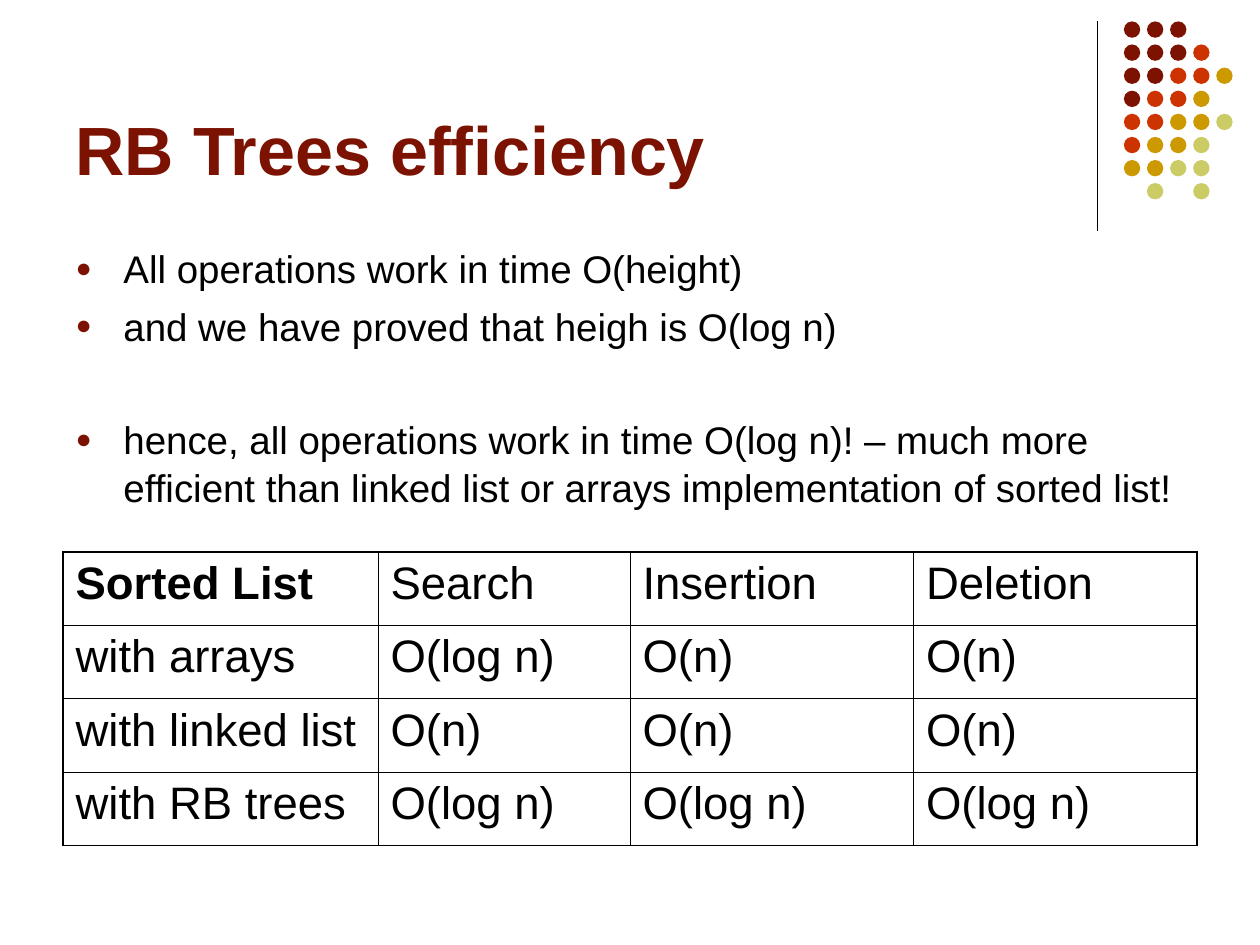
from lxml.etree import SubElement
from pptx import Presentation
from pptx.dml.color import RGBColor
from pptx.enum.shapes import MSO_CONNECTOR, MSO_SHAPE
from pptx.enum.text import MSO_ANCHOR, MSO_AUTO_SIZE, PP_ALIGN
from pptx.oxml import parse_xml
from pptx.oxml.ns import nsdecls, qn
from pptx.util import Inches, Pt

MAROON = RGBColor(0x7C, 0x13, 0x02)
RED = RGBColor(0xCC, 0x33, 0x00)
GOLD = RGBColor(0xCC, 0x99, 0x00)
OLIVE = RGBColor(0xCC, 0xCC, 0x66)
BLACK = RGBColor(0, 0, 0)
FONT = "Arial"


def add_text(paragraph, text, size, color, bold=False):
    run = paragraph.add_run()
    run.text = text
    run.font.name = FONT
    run.font.size = Pt(size)
    run.font.bold = bold
    run.font.color.rgb = color


def set_border(cell, side, width):
    cell._tc.get_or_add_tcPr().append(parse_xml(
        f'<a:{side} {nsdecls("a")} w="{Pt(width)}"><a:solidFill>'
        f'<a:srgbClr val="{BLACK}"/></a:solidFill></a:{side}>'))


presentation = Presentation()
presentation.slide_width = Inches(10)
presentation.slide_height = Inches(7.5)
slide = presentation.slides.add_slide(presentation.slide_layouts[1])
margin = presentation.slide_width // 20
content_width = presentation.slide_width - 2 * margin

# Corner ornament: a rule and a grid of dots, one letter per dot colour
rule = slide.shapes.add_connector(
    MSO_CONNECTOR.STRAIGHT, Inches(8.71), Inches(0.17), Inches(8.71), Inches(1.83))
rule.line.color.rgb = BLACK
rule.line.width = Pt(0.75)
SubElement(rule._element.spPr, qn("a:effectLst"))

dot_colors = {"M": MAROON, "R": RED, "G": GOLD, "O": OLIVE}
dot_rows = ["MMM", "MMMR", "MMRRG", "MRRG", "RRGGO", "RGGO", "GGOO", " O O"]
dot_pitch = Inches(0.55) // 3
dot_size = Inches(0.13)
for row, letters in enumerate(dot_rows):
    for column, letter in enumerate(letters):
        if letter == " ":
            continue
        dot = slide.shapes.add_shape(
            MSO_SHAPE.OVAL, Inches(8.92) + column * dot_pitch,
            Inches(0.17) + row * dot_pitch, dot_size, dot_size)
        dot.shadow.inherit = False
        dot.fill.solid()
        dot.fill.fore_color.rgb = dot_colors[letter]
        dot.line.fill.background()

# Title
title = slide.shapes.title
title.left, title.top = margin, Inches(0.13)
title.width, title.height = Inches(8.25), Inches(1.42)
title.text_frame.vertical_anchor = MSO_ANCHOR.BOTTOM
title.text_frame.auto_size = MSO_AUTO_SIZE.NONE
heading = title.text_frame.paragraphs[0]
heading.alignment = PP_ALIGN.LEFT
add_text(heading, "RB Trees efficiency", 39, MAROON, bold=True)

# Bullet list: the conclusion stands one line apart
body = slide.placeholders[1]
body.left, body.top = margin, Inches(1.88)
body.width, body.height = content_width, Inches(2.33)
body.text_frame.auto_size = MSO_AUTO_SIZE.NONE
points = [
    ("All operations work in time O(height)", 5.5),
    ("and we have proved that heigh is O(log n)", 5.5),
    ("hence, all operations work in time O(log n)! – much more efficient than "
     "linked list or arrays implementation of sorted list!", 37.5),
]
for index, (text, space_before) in enumerate(points):
    point = body.text_frame.paragraphs[0] if index == 0 else body.text_frame.add_paragraph()
    point.space_before = Pt(space_before)
    point.line_spacing = 1.04
    properties = point._p.get_or_add_pPr()
    properties.set("marL", str(Inches(0.38)))
    properties.set("indent", str(-Inches(0.38)))
    bullet_color = SubElement(properties, qn("a:buClr"))
    SubElement(bullet_color, qn("a:srgbClr"), val=str(MAROON))
    SubElement(properties, qn("a:buSzPct"), val="70000")
    SubElement(properties, qn("a:buFont"), typeface=FONT)
    SubElement(properties, qn("a:buChar"), char="●")
    add_text(point, text, 22, BLACK)

# Running times table: thick outer frame, thin inner lines
running_times = [
    ["Sorted List", "Search", "Insertion", "Deletion"],
    ["with arrays", "O(log n)", "O(n)", "O(n)"],
    ["with linked list", "O(n)", "O(n)", "O(n)"],
    ["with RB trees", "O(log n)", "O(log n)", "O(log n)"],
]
column_widths = [2.5, 2, 2.25, 2.25]
last_row, last_column = len(running_times) - 1, len(column_widths) - 1
table = slide.shapes.add_table(
    len(running_times), len(column_widths), margin, Inches(4.38),
    content_width, Inches(2.33)).table
table.first_row = table.horz_banding = False
for column, width in enumerate(column_widths):
    table.columns[column].width = Inches(width)
for row, entries in enumerate(running_times):
    for column, entry in enumerate(entries):
        cell = table.cell(row, column)
        outer_sides = {"lnL": column == 0, "lnR": column == last_column,
                       "lnT": row == 0, "lnB": row == last_row}
        for side, outer in outer_sides.items():
            set_border(cell, side, 1.08 if outer else 0.45)
        cell.fill.background()
        paragraph = cell.text_frame.paragraphs[0]
        paragraph.space_before = Pt(6.5)
        add_text(paragraph, entry, 26, BLACK, bold=row == column == 0)

presentation.save("out.pptx")
